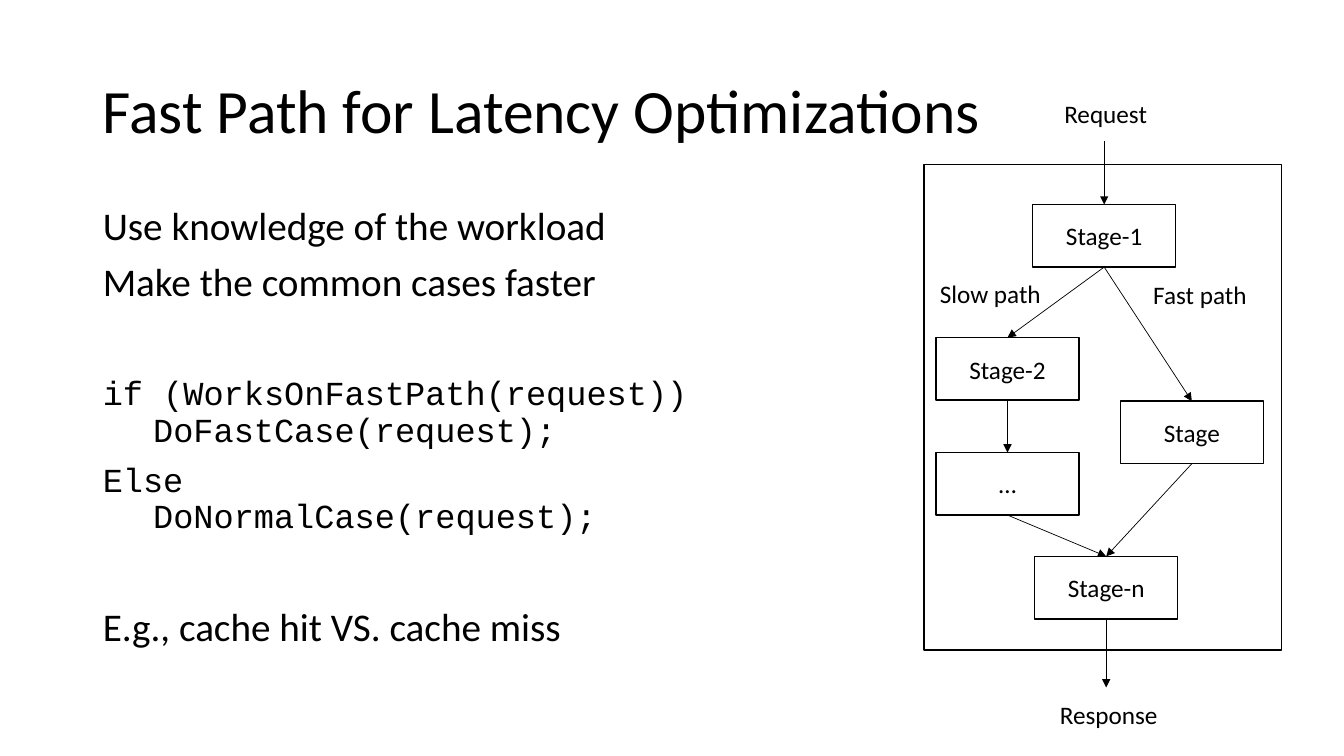
from pptx import Presentation
from pptx.dml.color import RGBColor
from pptx.enum.shapes import MSO_CONNECTOR as Connector, MSO_SHAPE as Preset
from pptx.enum.text import MSO_ANCHOR as Anchor, MSO_AUTO_SIZE as AutoSize, PP_ALIGN as Align
from pptx.oxml.ns import qn
from pptx.util import Inches, Pt
from lxml.etree import SubElement

COLORS = {"ink": "000000", "paper": "FFFFFF"}
SANS, MONO = "Calibri", "Courier New"
STAGE_WIDTH, STAGE_HEIGHT = 1.42, 0.62
TOP_SITE, BOTTOM_SITE = 0, 2

BULLETS = [
    ("Use knowledge of the workload", SANS, 28, 10),
    ("Make the common cases faster", SANS, 28, 10),
    ("if (WorksOnFastPath(request))\v\tDoFastCase(request);", MONO, 24, 51),
    ("Else\v\tDoNormalCase(request);", MONO, 24, 10),
    ("E.g., cache hit VS. cache miss", SANS, 28, 51),
]
STAGES = {
    "Stage-1": (1.08, 0.4),
    "Stage-2": (0.12, 1.72),
    "…": (0.12, 2.86),
    "Stage": (1.95, 2.35),
    "Stage-n": (1.1, 3.89),
}
FLOWS = [
    ("Stage-1", "Stage-2"),
    ("Stage-2", "…"),
    ("…", "Stage-n"),
    ("Stage-1", "Stage"),
    ("Stage", "Stage-n"),
]
LABELS = [
    ("Request", 1.29, -0.7, 1.03),
    ("Response", 1.25, 5.26, 1.17),
    ("Slow path", 0.06, 1.08, 1.2),
    ("Fast path", 2.17, 1.09, 1.14),
]


def color(name):
    """Look up a palette colour."""
    return RGBColor.from_string(COLORS[name])


def place(part, box):
    """Move a placeholder to a box given in inches."""
    part.left, part.top, part.width, part.height = map(Inches, box)


def style(paragraph, size, face=SANS, align=Align.LEFT):
    """Set the font and alignment of a paragraph."""
    paragraph.alignment = align
    paragraph.font.name = face
    paragraph.font.size = Pt(size)
    paragraph.font.color.rgb = color("ink")


def add_title(slide, box):
    """Fill the title placeholder."""
    title = slide.shapes.title
    place(title, box)
    frame = title.text_frame
    frame.text = "Fast Path for Latency Optimizations"
    frame.vertical_anchor = Anchor.MIDDLE
    frame.auto_size = AutoSize.NONE
    frame.paragraphs[0].line_spacing = 0.9
    style(frame.paragraphs[0], 44)


def add_body(slide, box):
    """Fill the body placeholder with points and code."""
    body = slide.placeholders[1]
    place(body, box)
    frame = body.text_frame
    frame.auto_size = AutoSize.NONE
    for index, (wording, face, size, gap) in enumerate(BULLETS):
        paragraph = frame.add_paragraph() if index else frame.paragraphs[0]
        paragraph.text = wording
        paragraph.line_spacing = 0.9
        paragraph.space_before = Pt(gap)
        style(paragraph, size, face)
        properties = paragraph._p.get_or_add_pPr()
        properties.set("marL", "0")
        properties.set("indent", "0")
        SubElement(properties, qn("a:buNone"))
        tabs = SubElement(properties, qn("a:tabLst"))
        SubElement(tabs, qn("a:tab"), pos=str(Inches(1)), algn="l")
        properties.append(properties.find(qn("a:defRPr")))


def add_rectangle(slide, box):
    """Draw an outlined rectangle without fill."""
    rectangle = slide.shapes.add_shape(Preset.RECTANGLE, *map(Inches, box))
    rectangle.shadow.inherit = False
    rectangle.fill.background()
    rectangle.line.color.rgb = color("ink")
    rectangle.line.width = Pt(1)
    return rectangle


def add_stage(slide, box, name):
    """Draw one named stage."""
    stage = add_rectangle(slide, box)
    stage.fill.solid()
    stage.fill.fore_color.rgb = color("paper")
    stage.text_frame.text = name
    stage.text_frame.vertical_anchor = Anchor.MIDDLE
    style(stage.text_frame.paragraphs[0], 18, align=Align.CENTER)
    return stage


def add_arrow(slide, start=(0, 0), end=(0, 0), source=None, target=None):
    """Draw an arrow between points or attached stages."""
    arrow = slide.shapes.add_connector(Connector.STRAIGHT, *start, *end)
    if source is not None:
        arrow.begin_connect(source, BOTTOM_SITE)
    if target is not None:
        arrow.end_connect(target, TOP_SITE)
    arrow.line.color.rgb = color("ink")
    arrow.line.width = Pt(0.5)
    SubElement(arrow.line._get_or_add_ln(), qn("a:tailEnd"), type="triangle")
    SubElement(arrow._element.spPr, qn("a:effectLst"))


def add_label(slide, box, wording):
    """Write a centred label."""
    label = slide.shapes.add_textbox(*map(Inches, box))
    frame = label.text_frame
    frame.text = wording
    frame.word_wrap = False
    frame.auto_size = AutoSize.SHAPE_TO_FIT_TEXT
    style(frame.paragraphs[0], 18, align=Align.CENTER)


def add_pipeline(slide, box):
    """Draw the slow and fast paths from request to response."""
    left, top, _, height = box
    add_rectangle(slide, box)
    stages = {
        name: add_stage(slide, (left + x, top + y, STAGE_WIDTH, STAGE_HEIGHT), name)
        for name, (x, y) in STAGES.items()
    }
    for source, target in FLOWS:
        add_arrow(slide, source=stages[source], target=stages[target])
    first, last = stages["Stage-1"], stages["Stage-n"]
    entry = (first.left + first.width // 2, Inches(top - 0.23))
    leaving = (last.left + last.width // 2, Inches(top + height + 0.37))
    add_arrow(slide, start=entry, end=entry, target=first)
    add_arrow(slide, start=leaving, end=leaving, source=last)
    for wording, x, y, width in LABELS:
        add_label(slide, (left + x, top + y, width, 0.4), wording)


def main():
    """Build and save the slide."""
    deck = Presentation()
    deck.slide_width, deck.slide_height = Inches(13.34), Inches(7.5)
    slide = deck.slides.add_slide(deck.slide_layouts[1])
    add_title(slide, (0.92, 0.4, 11.5, 1.45))
    add_body(slide, (0.92, 2, 8.51, 4.76))
    add_pipeline(slide, (9.17, 1.63, 3.55, 4.82))
    deck.save("out.pptx")


if __name__ == "__main__":
    main()
